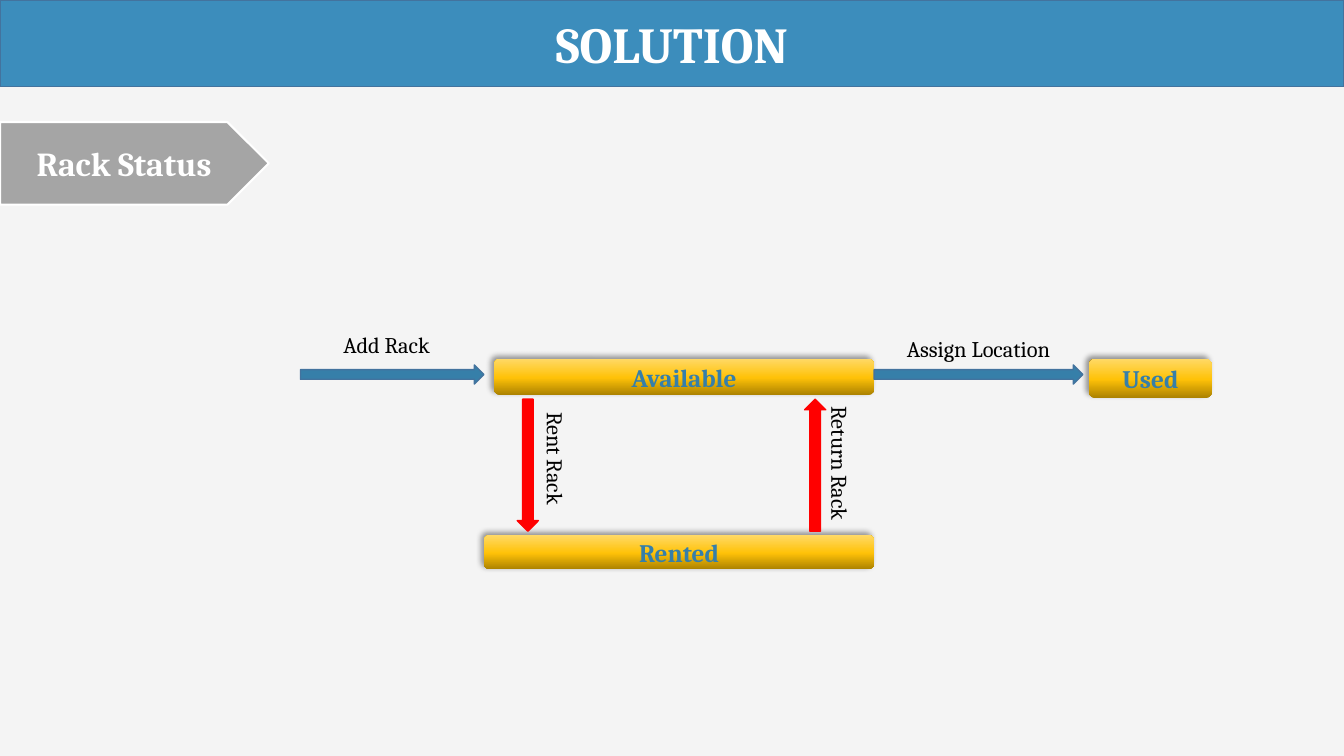
"""Build the rack status slide: three states joined by labelled arrows."""
from pptx import Presentation
from pptx.dml.color import RGBColor
from pptx.enum.shapes import MSO_SHAPE
from pptx.enum.text import MSO_ANCHOR, PP_ALIGN
from pptx.oxml import parse_xml
from pptx.oxml.ns import nsdecls
from pptx.util import Inches, Pt

PENTAGON, ROUNDED = MSO_SHAPE.PENTAGON, MSO_SHAPE.ROUNDED_RECTANGLE
ARROW = MSO_SHAPE.RIGHT_ARROW
MIDDLE, TOP, CENTER = MSO_ANCHOR.MIDDLE, MSO_ANCHOR.TOP, PP_ALIGN.CENTER

WIDTH, HEIGHT = 13.33, 7.5
FONT = "Cambria"
BLUE, EDGE, RED = "367FA9", "43739E", "FF0000"
GOLD = [(0, "AB8100"), (48, "FFC208"), (100, "FFD966")]

TITLE = "SOLUTION"
SECTION = "Rack Status"
LEFT, RIGHT, USED_LEFT = 4.8, 8.67, 10.8
STATE_TOP, RENTED_TOP = 3.56, 5.31
STATES = [
    ("Available", LEFT + 0.1, STATE_TOP, RIGHT - LEFT - 0.1, 0.36),
    ("Used", USED_LEFT, STATE_TOP, 1.22, 0.39),
    ("Rented", LEFT, RENTED_TOP, RIGHT - LEFT, 0.34),
]
ACROSS = [(2.98, LEFT - 2.98), (RIGHT, 2.07)]
ACROSS_MIDDLE, ACROSS_THICKNESS = 3.715, 0.19
UPRIGHT = [(5.235, 90), (8.085, 270)]
UPRIGHT_MIDDLE, UPRIGHT_LENGTH, UPRIGHT_THICKNESS = 4.615, 1.31, 0.21
LABELS = [
    ("Assign Location", 9.705, 3.56, 2.07, 0.5, 0),
    ("Add Rack", 3.835, 3.45, 1.67, 0.36, 0),
    ("Rent Rack", 5.485, 4.55, 1.67, 0.36, 90),
    ("Return Rack", 8.305, 4.6, 1.67, 0.36, 90),
]


def color(value):
    return RGBColor.from_string(value)


def paint(shape, fill, line, width):
    shape.fill.solid()
    shape.fill.fore_color.rgb = color(fill)
    shape.line.color.rgb = color(line)
    shape.line.width = Pt(width)


def write(shape, text, size, ink, bold=True, anchor=MIDDLE):
    frame = shape.text_frame
    frame.text = text
    frame.word_wrap = True
    frame.vertical_anchor = anchor
    paragraph = frame.paragraphs[0]
    paragraph.alignment = CENTER
    font = paragraph.runs[0].font
    font.name, font.size, font.bold = FONT, Pt(size), bold
    font.color.rgb = color(ink)
    return paragraph


def add_shape(slide, kind, left, top, width, height):
    shape = slide.shapes.add_shape(kind, *map(Inches, (left, top, width, height)))
    shape.shadow.inherit = False
    return shape


def add_state(slide, name, *box):
    shape = add_shape(slide, ROUNDED, *box)
    shape.line.fill.background()
    stops = "".join(
        f'<a:gs pos="{share * 1000}"><a:srgbClr val="{value}"/></a:gs>'
        for share, value in GOLD)
    properties = shape.element.spPr
    properties.insert(2, parse_xml(
        f'<a:gradFill {nsdecls("a")} rotWithShape="1"><a:gsLst>{stops}</a:gsLst>'
        '<a:lin ang="16200000" scaled="0"/></a:gradFill>'))
    properties[-1].append(parse_xml(
        f'<a:outerShdw {nsdecls("a")} blurRad="{Pt(4)}" dist="{Pt(3)}" '
        'dir="13500000" algn="br" rotWithShape="0"><a:srgbClr val="000000">'
        '<a:alpha val="40000"/></a:srgbClr></a:outerShdw>'))
    write(shape, name, 18, BLUE)


def add_arrow(slide, center, middle, length, thickness, fill, line, rotation=0):
    shape = add_shape(slide, ARROW, center - length / 2, middle - thickness / 2,
                      length, thickness)
    shape.rotation = rotation
    paint(shape, fill, line, 1)


def add_label(slide, text, center, middle, width, height, rotation):
    box = slide.shapes.add_textbox(*map(Inches, (
        center - width / 2, middle - height / 2, width, height)))
    box.rotation = rotation
    write(box, text, 16, "000000", False, TOP).line_spacing = 0.9


def main():
    presentation = Presentation()
    presentation.slide_width = Inches(WIDTH)
    presentation.slide_height = Inches(HEIGHT)
    slide = presentation.slides.add_slide(presentation.slide_layouts[5])
    slide.background.fill.solid()
    slide.background.fill.fore_color.rgb = color("F4F4F4")

    title = slide.shapes.title
    title.left, title.top = 0, 0
    title.width, title.height = Inches(WIDTH), Inches(0.86)
    paint(title, "3C8DBC", EDGE, 1)
    write(title, TITLE, 36, "FFFFFF")

    section = add_shape(slide, PENTAGON, 0, 1.21, WIDTH / 5, 0.82)
    paint(section, "A5A5A5", "FFFFFF", 1.5)
    write(section, SECTION, 24, "FFFFFF")

    for state in STATES:
        add_state(slide, *state)
    for left, length in ACROSS:
        add_arrow(slide, left + length / 2, ACROSS_MIDDLE, length,
                  ACROSS_THICKNESS, BLUE, EDGE)
    for center, rotation in UPRIGHT:
        add_arrow(slide, center, UPRIGHT_MIDDLE, UPRIGHT_LENGTH,
                  UPRIGHT_THICKNESS, RED, RED, rotation)
    for label in LABELS:
        add_label(slide, *label)
    presentation.save("out.pptx")


if __name__ == "__main__":
    main()
